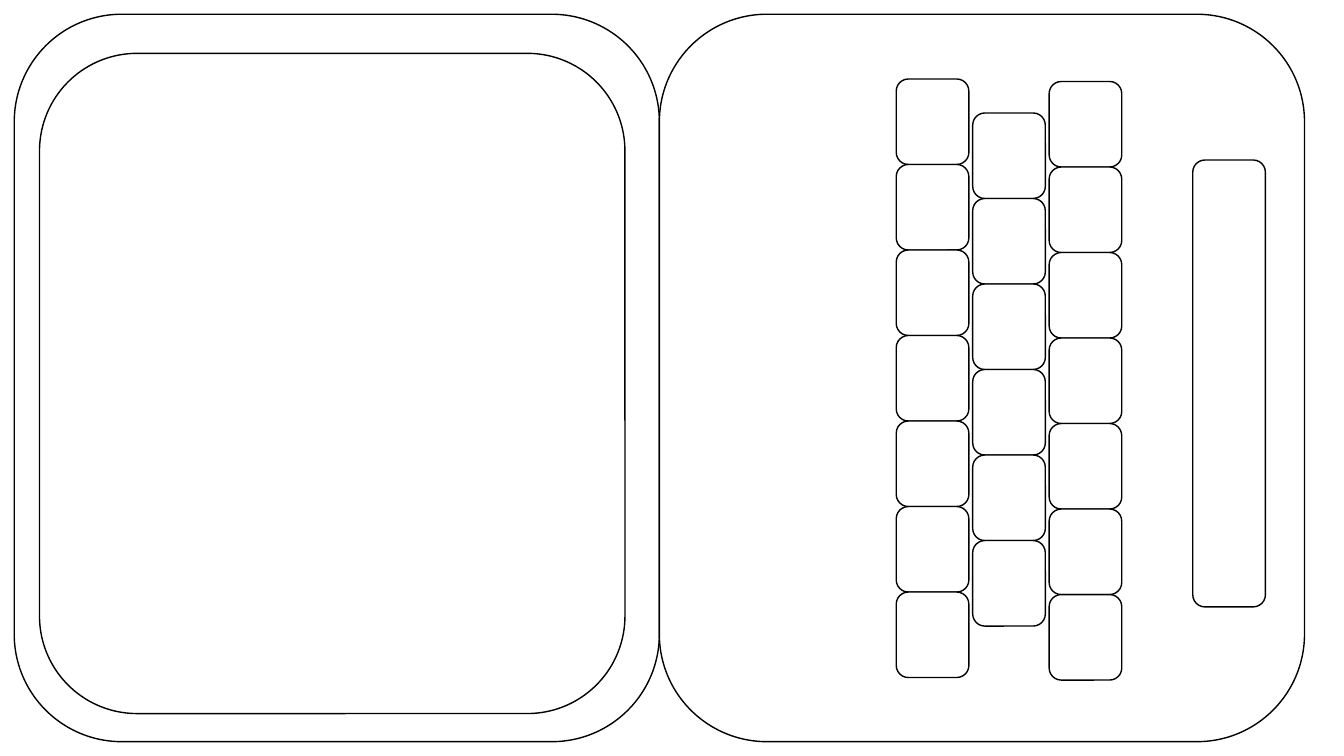
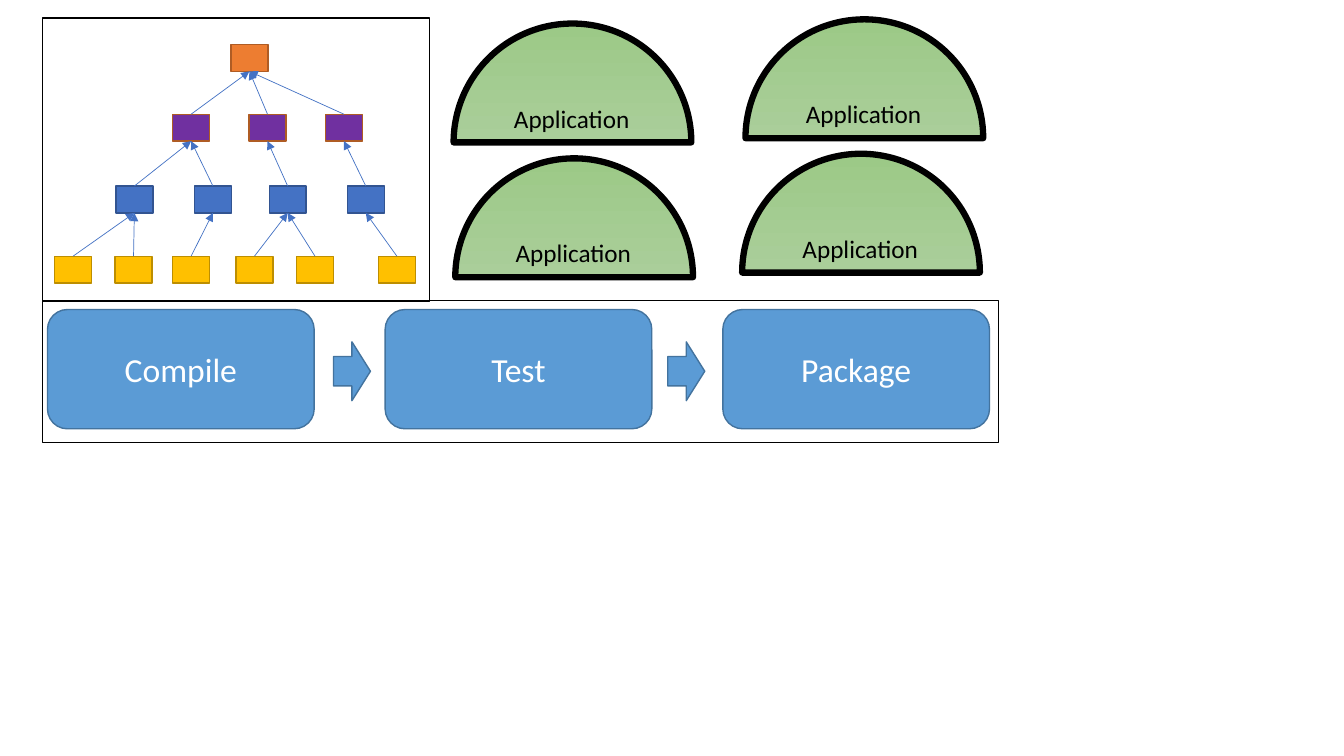
from copy import deepcopy

from lxml.etree import SubElement
from pptx import Presentation
from pptx.dml.color import RGBColor
from pptx.enum.shapes import MSO_CONNECTOR as Link, MSO_SHAPE as Form
from pptx.enum.text import MSO_ANCHOR as Anchor, PP_ALIGN as Align
from pptx.oxml.ns import qn
from pptx.util import Inches, Pt

COLORS = {
    "white": "FFFFFF", "black": "000000",
    "orange": "ED7D31", "rust": "AF5C24", "purple": "7030A0",
    "blue": "4472C4", "navy": "325491", "gold": "FFC000", "ochre": "BD8E00",
    "sky": "5B9BD5", "steel": "43739E",
    "pale green": "B5D5A7", "mid green": "AACE9A", "green": "9CC987",
}
FONT = "Calibri"

deck = Presentation()
deck.slide_width, deck.slide_height = Inches(13.33), Inches(7.5)
COL = deck.slide_width / 160
ROW = deck.slide_height / 90


def add_block(slide, form, left, top, width, height, fill=None, line="black", weight=1):
    block = slide.shapes.add_shape(
        form, round(left * COL), round(top * ROW), round(width * COL), round(height * ROW))
    block.shadow.inherit = False
    if fill:
        block.fill.solid()
        block.fill.fore_color.rgb = RGBColor.from_string(COLORS[fill])
    else:
        block.fill.background()
    block.line.color.rgb = RGBColor.from_string(COLORS[line])
    block.line.width = Pt(weight)
    return block


def write(holder, text, size=18, color="black", align=Align.LEFT, anchor=Anchor.TOP, wrap=True):
    frame = holder.text_frame
    frame.word_wrap = wrap
    frame.vertical_anchor = anchor
    paragraph = frame.paragraphs[0]
    paragraph.alignment = align
    run = paragraph.add_run()
    run.text = text
    run.font.name = FONT
    run.font.size = Pt(size)
    run.font.color.rgb = RGBColor.from_string(COLORS[color])


blank = deck.slide_layouts[6]
device = deck.slides.add_slide(blank)
pipeline = deck.slides.add_slide(blank)

casing_left, casing_width = 1.7, 76.8
key_width, key_height = 8.65, 10.18
key_left, key_step = 106.7, 9.1
key_columns = [(9.4, 7), (13.45, 6), (9.7, 7)]

panels = [(casing_left + half * casing_width, 1.7, casing_width, 86.6) for half in range(2)]
panels += [(4.7, 6.35, 69.7, 78.6), (142, 19.05, key_width, 53.2)]
panels += [
    (key_left + column * key_step, first_top + row * key_height, key_width, key_height)
    for column, (first_top, count) in enumerate(key_columns)
    for row in range(count)
]
for panel in panels:
    add_block(device, Form.ROUNDED_RECTANGLE, *panel, fill="white")

node_width, node_height = 4.4, 3.2
tree_levels = [
    (5.3, "orange", "rust", [(27.5, None)]),
    (13.6, "purple", "rust", [(20.55, 0), (29.65, 0), (38.75, 0)]),
    (22.15, "blue", "navy", [(13.8, 0), (23.15, 0), (32.05, 1), (41.35, 2)]),
    (30.5, "gold", "ochre",
     [(6.5, 0), (13.7, 0), (20.55, 1), (28.1, 2), (35.3, 2), (45.05, 3)]),
]
parents = []
for top, fill, line, members in tree_levels:
    nodes = []
    for left, parent in members:
        node = add_block(pipeline, Form.RECTANGLE, left, top, node_width, node_height, fill, line)
        nodes.append(node)
        if parent is None:
            continue
        branch = pipeline.shapes.add_connector(Link.STRAIGHT, 0, 0, 0, 0)
        branch.begin_connect(node, 0)
        branch.end_connect(parents[parent], 2)
        branch.line.color.rgb = RGBColor.from_string(COLORS["blue"])
        branch.line.width = Pt(0.5)
        SubElement(branch.line._get_or_add_ln(), qn("a:tailEnd"), type="triangle")
        SubElement(branch._element.spPr, qn("a:effectLst"))
    parents = nodes
add_block(pipeline, Form.RECTANGLE, 5.05, 2.15, 46.1, 33.75)

for order, stage_name in enumerate(["Compile", "Test", "Package"]):
    stage = add_block(pipeline, Form.ROUNDED_RECTANGLE, 5.65 + order * 40.2, 36.85,
                      31.75, 14.2, "sky", "steel")
    write(stage, stage_name, size=24, color="white", align=Align.CENTER, anchor=Anchor.MIDDLE)
for order in range(2):
    add_block(pipeline, Form.RIGHT_ARROW, 39.7 + order * 39.8, 40.7, 4.4, 7, "sky", "steel")
add_block(pipeline, Form.RECTANGLE, 5.05, 35.75, 113.8, 16.9)

dome_size = 28.3
dome_shades = [(0, "pale green"), (0.5, "mid green"), (1, "green")]
for left, top in [(54, 2.8), (54.2, 18.85), (88.75, 2.3), (88.35, 18.3)]:
    dome = add_block(pipeline, Form.PIE, left, top, dome_size, dome_size, weight=4.5)
    dome.adjustments[0], dome.adjustments[1] = 0, 108
    dome.rotation = 180
    dome.fill.gradient()
    dome.fill.gradient_angle = 270
    stop_list = dome._element.spPr.find(qn("a:gradFill")).find(qn("a:gsLst"))
    stop_list.append(deepcopy(stop_list[0]))
    for stop, (position, shade) in zip(dome.fill.gradient_stops, dome_shades):
        stop.position = position
        stop.color.rgb = RGBColor.from_string(COLORS[shade])
    label = pipeline.shapes.add_textbox(
        round((left + 6) * COL), round((top + 8.85) * ROW), round(16.3 * COL), round(4.85 * ROW))
    write(label, "Application", wrap=False)

deck.save("out.pptx")
